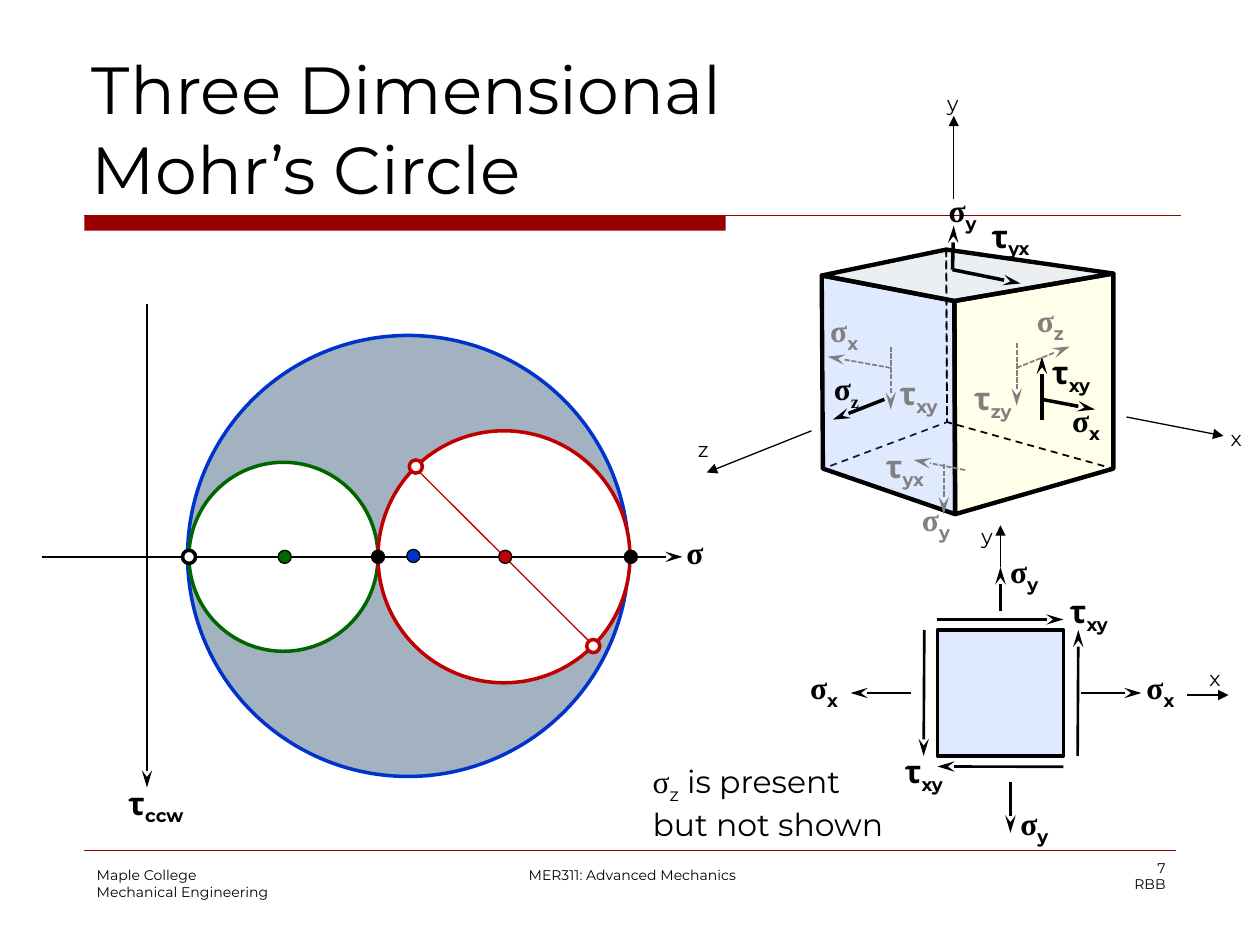
"""Build the slide on the three dimensional Mohr's circle."""
from dataclasses import dataclass
from typing import Optional

from lxml import etree
from pptx import Presentation
from pptx.dml.color import RGBColor
from pptx.enum.dml import MSO_LINE
from pptx.enum.shapes import MSO_CONNECTOR, MSO_SHAPE
from pptx.enum.text import MSO_AUTO_SIZE, PP_ALIGN
from pptx.oxml.ns import qn
from pptx.util import Pt

STRAIGHT = MSO_CONNECTOR.STRAIGHT
OVAL, RECTANGLE = MSO_SHAPE.OVAL, MSO_SHAPE.RECTANGLE
DASH, SHORT_DASH = MSO_LINE.DASH, MSO_LINE.SQUARE_DOT
LEFT, CENTER, RIGHT = PP_ALIGN.LEFT, PP_ALIGN.CENTER, PP_ALIGN.RIGHT
FIT_SHAPE = MSO_AUTO_SIZE.SHAPE_TO_FIT_TEXT
BLACK = RGBColor(0x00, 0x00, 0x00)
WHITE = RGBColor(0xFF, 0xFF, 0xFF)
GRAY = RGBColor(0x80, 0x80, 0x80)
SLATE = RGBColor(0xA3, 0xB2, 0xC1)
MAROON = RGBColor(0x99, 0x00, 0x00)
RED = RGBColor(0xC0, 0x00, 0x00)
GREEN = RGBColor(0x00, 0x66, 0x00)
BLUE = RGBColor(0x00, 0x33, 0xCC)
SKY = RGBColor(0x66, 0x99, 0xFF)
YELLOW = RGBColor(0xFF, 0xFF, 0x99)
SANS, SERIF = "Montserrat", "Times New Roman"
STEALTH, TRIANGLE = "stealth", "triangle"
HEAD_LENGTHS = {STEALTH: "lg", TRIANGLE: "med"}
SIGMA, TAU = "σ", "τ"
SIGMA_AXIS_Y = 318.2
DOT = 7.5


@dataclass
class Circle:
    x: float
    y: float
    diameter: float
    fill: RGBColor
    line: RGBColor
    width: float


@dataclass
class Line:
    x1: float
    y1: float
    x2: float
    y2: float
    width: float
    head: Optional[str] = STEALTH
    color: RGBColor = BLACK
    dash: Optional[MSO_LINE] = None


@dataclass
class Face:
    corners: list
    fill: Optional[RGBColor] = None


@dataclass
class Piece:
    text: str
    font: str = SANS
    subscript: bool = False


@dataclass
class Label:
    left: float
    top: float
    width: float
    symbol: str
    subscript: str = ""
    color: RGBColor = BLACK
    subscript_font: str = SANS


def style(shape, fill: Optional[RGBColor], line: Optional[RGBColor], width: float = 0, opacity: int = 100) -> None:
    """Set fill, outline and opacity of a shape."""
    shape.shadow.inherit = False
    if fill is None:
        shape.fill.background()
    else:
        shape.fill.solid()
        shape.fill.fore_color.rgb = fill
        if opacity < 100:
            color = shape.fill._xPr.find(qn("a:solidFill"))[0]
            etree.SubElement(color, qn("a:alpha"), val=str(opacity * 1000))
    if line is None:
        shape.line.fill.background()
    else:
        shape.line.color.rgb = line
        shape.line.width = Pt(width)


def draw_circle(slide, circle: Circle) -> None:
    """Draw a circle around its centre."""
    radius = circle.diameter / 2
    shape = slide.shapes.add_shape(OVAL, Pt(circle.x - radius), Pt(circle.y - radius),
                                   Pt(circle.diameter), Pt(circle.diameter))
    style(shape, circle.fill, circle.line, circle.width)


def draw_line(slide, line: Line) -> None:
    """Draw a line, with an arrowhead at its end if it has one."""
    connector = slide.shapes.add_connector(STRAIGHT, Pt(line.x1), Pt(line.y1), Pt(line.x2), Pt(line.y2))
    connector.line.color.rgb = line.color
    connector.line.width = Pt(line.width)
    if line.dash is not None:
        connector.line.dash_style = line.dash
    if line.head:
        etree.SubElement(connector.line._get_or_add_ln(), qn("a:tailEnd"),
                         type=line.head, len=HEAD_LENGTHS[line.head])
    etree.SubElement(connector._element.spPr, qn("a:effectLst"))


def draw_face(slide, face: Face) -> None:
    """Draw one cube face, dashed when it is hidden."""
    points = [(Pt(x), Pt(y)) for x, y in face.corners]
    builder = slide.shapes.build_freeform(*points[0], scale=1.0)
    builder.add_line_segments(points[1:], close=True)
    shape = builder.convert_to_shape()
    style(shape, face.fill, BLACK, 2.5 if face.fill else 1, 20)
    if face.fill is None:
        shape.line.dash_style = DASH


def draw_text(slide, left: float, top: float, width: float, height: float, lines: list, size: float,
              color: RGBColor = BLACK, align: PP_ALIGN = LEFT, bold: bool = False, wrap: bool = True) -> None:
    """Draw a text box whose lines are lists of pieces."""
    frame = slide.shapes.add_textbox(Pt(left), Pt(top), Pt(width), Pt(height)).text_frame
    frame.word_wrap = wrap
    if not wrap:
        frame.auto_size = FIT_SHAPE
    for index, pieces in enumerate(lines):
        paragraph = frame.add_paragraph() if index else frame.paragraphs[0]
        paragraph.alignment = align
        paragraph.font.size = Pt(size)
        paragraph.font.bold = bold
        paragraph.font.color.rgb = color
        paragraph.font.name = pieces[0].font
        for piece in pieces:
            run = paragraph.add_run()
            run.text = piece.text
            if piece.font != pieces[0].font:
                run.font.name = piece.font
            if piece.subscript:
                run._r.get_or_add_rPr().set("baseline", "-25000")


def draw_label(slide, label: Label) -> None:
    """Draw a stress symbol with its subscript."""
    sigma = label.symbol == SIGMA
    pieces = [Piece(label.symbol, SERIF if sigma else SANS)]
    if label.subscript:
        pieces.append(Piece(label.subscript, label.subscript_font, True))
    draw_text(slide, label.left, label.top, label.width, 28.8 if sigma else 51.1,
              [pieces], 18, label.color, bold=True, wrap=False)


def dots(*specifications: tuple) -> list:
    """Make small circles from x, y, fill, line and line width."""
    return [Circle(x, y, DOT, fill, line, width) for x, y, fill, line, width in specifications]


TOP_LEFT, TOP_FRONT, TOP_RIGHT, TOP_BACK = (469.6, 157.4), (545.4, 172), (636.2, 156.3), (540.7, 142.6)
LOW_LEFT, LOW_FRONT, LOW_RIGHT, LOW_BACK = (470.3, 267.8), (545.8, 293.8), (636.2, 267.8), (541.2, 241.2)
FACES = [
    Face([LOW_FRONT, TOP_FRONT, TOP_RIGHT, LOW_RIGHT], YELLOW),
    Face([TOP_BACK, TOP_LEFT, LOW_LEFT, LOW_BACK]),
    Face([LOW_FRONT, TOP_FRONT, TOP_LEFT, LOW_LEFT], SKY),
    Face([TOP_LEFT, TOP_FRONT, TOP_RIGHT, TOP_BACK], SLATE),
    Face([LOW_RIGHT, TOP_RIGHT, TOP_BACK, LOW_BACK]),
]
MOHR_CIRCLES = [
    Circle(233.2, 317.7, 252, SLATE, BLUE, 2),
    Circle(162, SIGMA_AXIS_Y, 108, WHITE, GREEN, 2),
    Circle(288, SIGMA_AXIS_Y, 144, WHITE, RED, 2),
]
MOHR_LINES = [
    Line(84, 174, 84, 450, 1),
    Line(236.9, 266.9, 339.1, 368.9, 0.75, None, RED),
    Line(24, SIGMA_AXIS_Y, 390, SIGMA_AXIS_Y, 1),
]
MOHR_DOTS = dots(
    (360.5, SIGMA_AXIS_Y, BLACK, BLACK, 0.75), (216, SIGMA_AXIS_Y, BLACK, BLACK, 0.75),
    (108, SIGMA_AXIS_Y, WHITE, BLACK, 2), (237.6, 266.6, WHITE, RED, 2), (339, 369.2, WHITE, RED, 2),
    (162.7, SIGMA_AXIS_Y, GREEN, BLACK, 0.75), (236.2, 317.7, BLUE, BLACK, 0.75),
    (288.7, SIGMA_AXIS_Y, RED, BLACK, 0.75))
ARROWS = [
    Line(544.3, 154.1, 583.2, 162, 2), Line(544.3, 154.1, 545, 128.9, 2),
    Line(505.4, 228.2, 475.9, 239.8, 2), Line(595.4, 228.2, 625.7, 234, 2),
    Line(595.4, 239.8, 595.4, 203.8, 2),
    Line(545, 113.8, 545, 66.2, 0.75, TRIANGLE), Line(643.7, 238.3, 699.1, 249.1, 0.75, TRIANGLE),
    Line(463.7, 246.2, 403.9, 270, 0.75, TRIANGLE),
] + [Line(*ends, 1, STEALTH, GRAY, SHORT_DASH) for ends in (
    (551.5, 268.6, 522, 262.8), (539.3, 265, 539.3, 293.8), (581, 210.2, 611.3, 198),
    (581, 195.8, 581, 231.8), (509, 210.2, 473, 203.8), (509, 198, 509, 234))]
SQUARE_ARROWS = [
    Line(571.7, 349.2, 571.7, 324, 2), Line(577.4, 447.1, 577.4, 475.9, 2),
    Line(535.7, 354, 607.7, 354, 1.5), Line(607.7, 438.2, 535.7, 438, 1.5),
    Line(615.8, 432, 616.2, 360, 1.5), Line(528.2, 360, 527.8, 432, 1.5),
    Line(617.8, 396, 652.3, 396, 1.5), Line(520.6, 396, 486, 396, 1.5),
    Line(571.7, 324, 571.7, 300.2, 0.75, TRIANGLE), Line(678.2, 397.2, 702, 397.2, 0.75, TRIANGLE),
]
LABELS = [
    Label(66.2, 444.2, 50.4, TAU, "ccw"), Label(385.2, 301, 24.5, SIGMA),
    Label(605.5, 225.4, 32.4, SIGMA, "x"), Label(535, 105.8, 31.7, SIGMA, "y"),
    Label(469.4, 207.4, 30.2, SIGMA, "z", BLACK, SERIF),
    Label(594, 198, 38.2, TAU, "xy"), Label(559.4, 120.2, 38.2, TAU, "yx"),
    Label(519.8, 282.2, 31.7, SIGMA, "y", GRAY), Label(499, 252, 41, TAU, "yx", GRAY),
    Label(467.3, 174.2, 32.4, SIGMA, "x", GRAY), Label(585.4, 168.5, 31, SIGMA, "z", GRAY),
    Label(506.9, 210.2, 38.2, TAU, "xy", GRAY), Label(549.4, 213.1, 36.7, TAU, "zy", GRAY),
    Label(604.1, 334.8, 38.2, TAU, "xy"), Label(509.8, 426.2, 38.2, TAU, "xy"),
    Label(648, 378, 32.4, SIGMA, "x"), Label(455.8, 378, 32.4, SIGMA, "x"),
    Label(570.2, 311.8, 31.7, SIGMA, "y"), Label(576, 455.8, 31.7, SIGMA, "y"),
]
AXIS_NAMES = [("z", 391.7, 246.2), ("y", 534.2, 48.2), ("x", 696.2, 239.8), ("y", 553.7, 295.9), ("x", 684, 376.6)]
TEXTS = [
    (48.2, 491.8, 149.8, 36, ["Maple College", "Mechanical Engineering"], 8, LEFT),
    (274.3, 491.8, 174.2, 17.3, ["MER311: Advanced Mechanics"], 8, CENTER),
    (523.4, 487.4, 149.8, 36, ["7", "RBB"], 8, RIGHT),
    (45.4, 23.8, 630, 95.8, ["Three Dimensional", "Mohr’s Circle"], 38, LEFT),
]


def main() -> None:
    """Build and save the presentation."""
    presentation = Presentation()
    presentation.slide_width, presentation.slide_height = Pt(720), Pt(540)
    slide = presentation.slides.add_slide(presentation.slide_layouts[6])
    title_bar = slide.shapes.add_shape(RECTANGLE, Pt(48.2), Pt(123.1), Pt(366.5), Pt(8.7))
    style(title_bar, MAROON, None)
    draw_line(slide, Line(48.2, 123.1, 674.6, 123.1, 0.75, None, MAROON))
    draw_line(slide, Line(48.2, 486, 672, 486, 0.25, None, MAROON))
    for left, top, width, height, lines, size, align in TEXTS:
        draw_text(slide, left, top, width, height, [[Piece(line)] for line in lines], size, align=align)
    for circle in MOHR_CIRCLES:
        draw_circle(slide, circle)
    for line in MOHR_LINES:
        draw_line(slide, line)
    for dot in MOHR_DOTS:
        draw_circle(slide, dot)
    for face in FACES:
        draw_face(slide, face)
    square = slide.shapes.add_shape(RECTANGLE, Pt(535.7), Pt(360), Pt(72), Pt(72))
    style(square, SKY, BLACK, 2, 20)
    for arrow in ARROWS + SQUARE_ARROWS:
        draw_line(slide, arrow)
    for label in LABELS:
        draw_label(slide, label)
    for name, left, top in AXIS_NAMES:
        draw_text(slide, left, top, 24, 21.6, [[Piece(name)]], 12)
    note = [[Piece(SIGMA, SERIF), Piece("z", SANS, True), Piece(" is present")], [Piece("but not shown")]]
    draw_text(slide, 365.8, 432, 157.7, 51.1, note, 18, wrap=False)
    presentation.save("out.pptx")


main()
